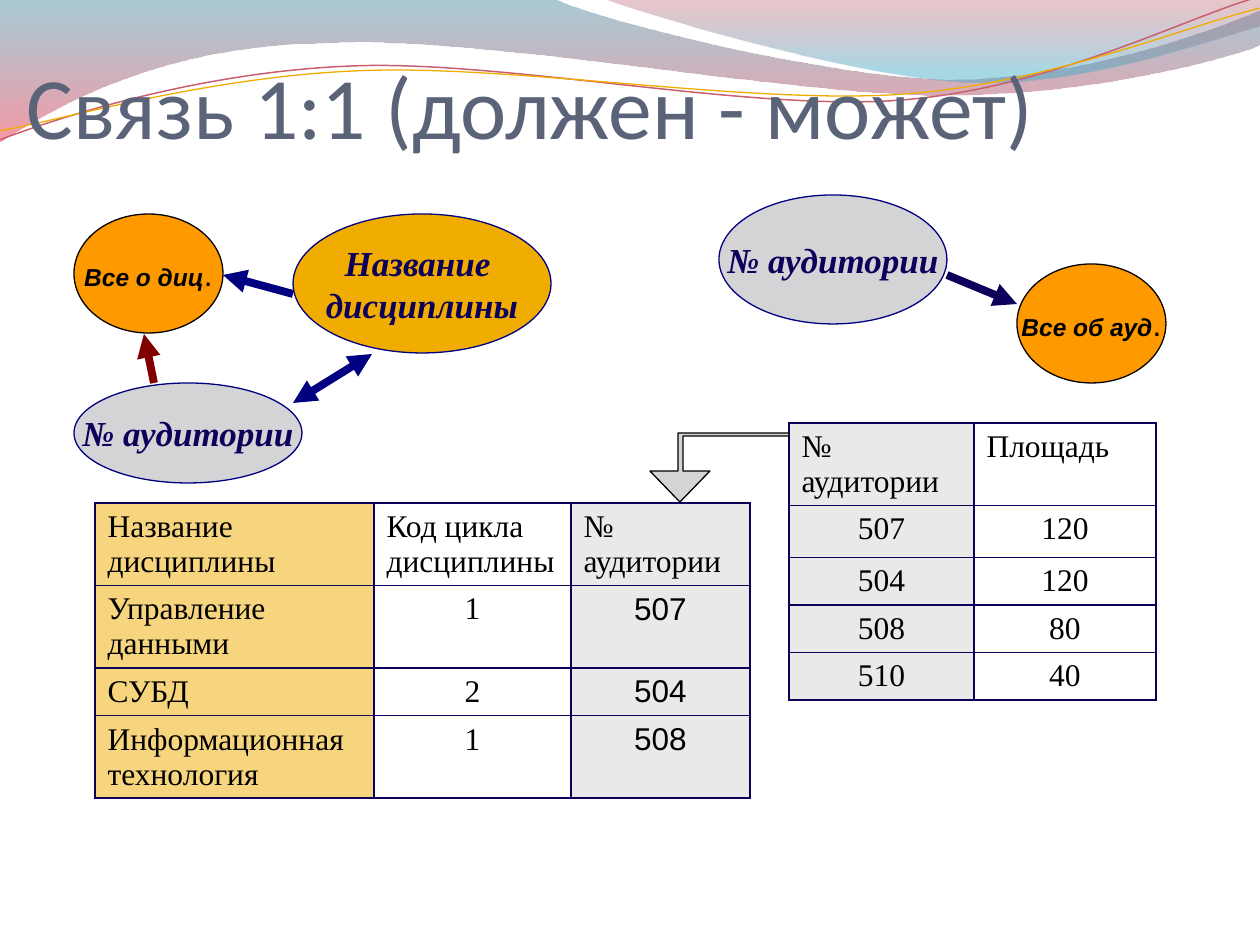
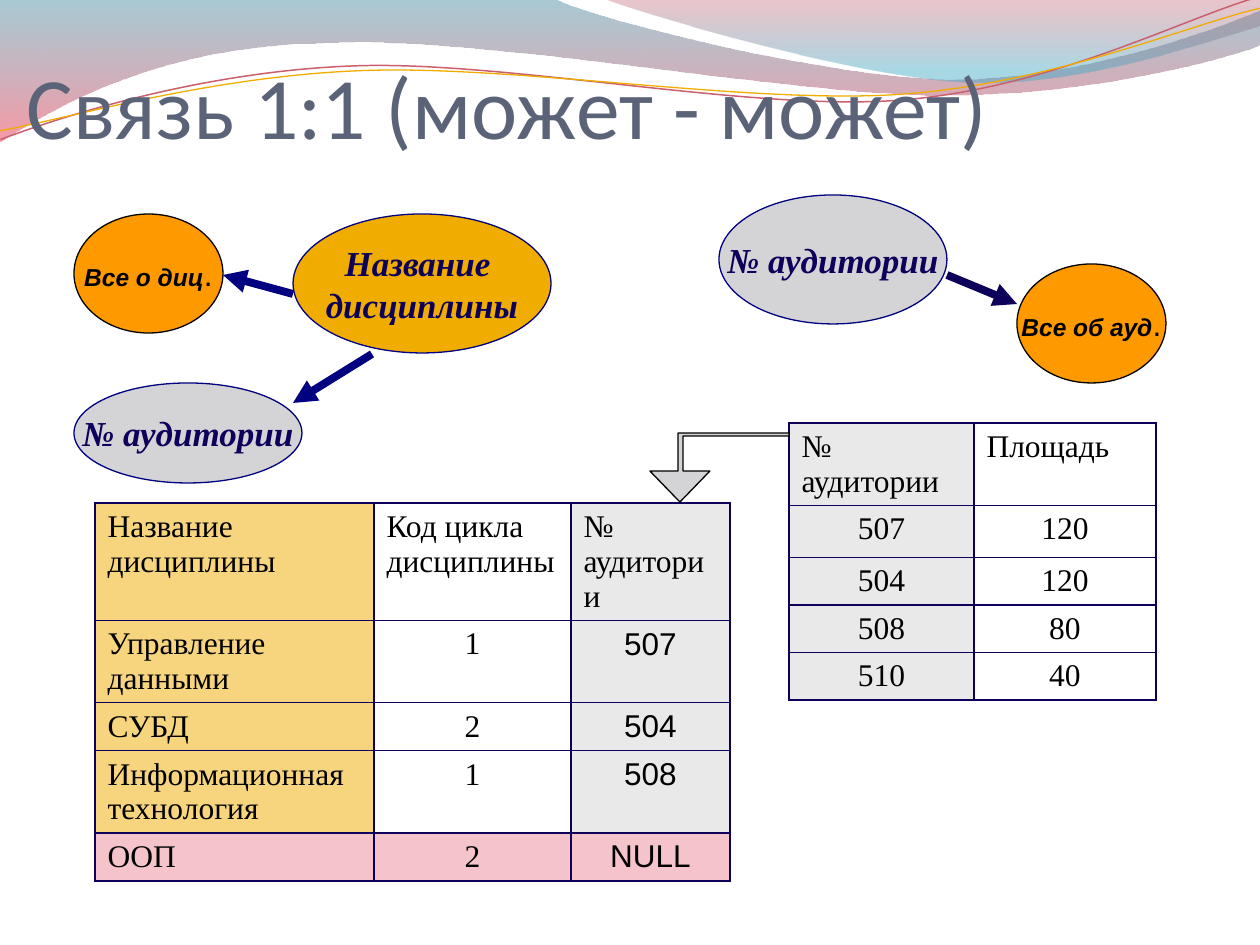
from dataclasses import dataclass

from lxml.etree import SubElement
from pptx import Presentation
from pptx.dml.color import RGBColor
from pptx.enum.shapes import MSO_CONNECTOR as Connector, MSO_SHAPE as Shape
from pptx.enum.text import MSO_ANCHOR as Anchor, MSO_AUTO_SIZE as AutoSize, PP_ALIGN as Align
from pptx.oxml.ns import qn
from pptx.util import Emu, Pt

EMU_PER_PX = 914400 / 126


@dataclass(frozen=True)
class Theme:
    title: str = "5A6378"
    ink: str = "000000"
    indigo: str = "0D005A"
    navy: str = "000080"
    maroon: str = "800000"
    amber: str = "F0AD00"
    orange: str = "FF9900"
    grey: str = "D4D4D6"
    pink: str = "F5C4CB"
    rose: str = "CB5F6E"
    sans: str = "Arial"
    serif: str = "Times New Roman"
    title_font: str = "Calibri"
    title_size: int = 50
    key_size: int = 20
    cell_size: int = 18
    note_size: int = 14
    outline: float = 0.75
    arrow: float = 4.5


THEME = Theme()

# Each outline: start point, then line steps (x, y) or curve steps (three points).
UPPER_WAVE = [
    (0, 0), (554, -1),
    ((600, 21), (837, 79), (955, 79)), ((1075, 79), (1207, 33), (1260, 11)),
    (1261, 45),
    ((1239, 55), (1096, 96), (940, 95)), ((784, 95), (481, 35), (324, 43)),
    ((163, 45), (58, 105), (-1, 142)),
]
RIGHT_WAVE = [
    (604, -1), ((641, 14), (859, 78), (969, 82)),
    ((1079, 87), (1211, 40), (1260, 26)), (1260, 0),
]
ROSE_THREAD = [
    (-2, 110), ((59, 90), (200, 52), (350, 53)),
    ((499, 53), (745, 117), (896, 113)), ((1049, 109), (1184, 45), (1260, 27)),
]
AMBER_THREAD = [
    (-2, 101), ((57, 94), (207, 57), (357, 58)),
    ((509, 58), (750, 111), (902, 107)), ((1052, 103), (1188, 52), (1262, 38)),
]
THREAD_TILT = 357.3
FOREIGN_KEY_ARROW = [
    (680, 502), (710, 471), (683, 471), (683, 436), (789, 436),
    (789, 433), (678, 433), (678, 471), (650, 471),
]

DISCIPLINES = [
    ("Название дисциплины", "Код цикла дисциплины", "№ аудитории"),
    ("Управление данными", "1", "507"),
    ("СУБД", "2", "504"),
    ("Информационная технология", "1", "508"),
]
UNASSIGNED_DISCIPLINE = ("ООП", "2", "NULL")
ROOMS = [
    ("№ аудитории", "Площадь"),
    ("507", "120"), ("504", "120"), ("508", "80"), ("510", "40"),
]


def px(length):
    return Emu(round(length * EMU_PER_PX))


def rgb(code):
    return RGBColor.from_string(code)


def set_alpha(parent, *percents):
    """Give the colours below parent their opacities, in order."""
    for color, percent in zip(parent.iter(qn("a:srgbClr")), percents):
        SubElement(color, qn("a:alpha"), val=str(percent * 1000))


def style_font(font, name, size, color, emphasis=False):
    font.name, font.size = name, Pt(size)
    font.color.rgb = rgb(color)
    font.bold = font.italic = emphasis


def style_line(line, color, width):
    line.color.rgb = rgb(color)
    line.width = Pt(width)


def add_outline(slide, steps, close=True):
    """Lay all points as line segments, then join each curve's three into one Bézier."""
    start, *moves = [step if len(step) == 3 else (step,) for step in steps]
    builder = slide.shapes.build_freeform(*map(px, start[0]), scale=1.0)
    builder.add_line_segments([(px(x), px(y)) for move in moves for x, y in move], close=close)
    outline = builder.convert_to_shape()
    outline.shadow.inherit = False
    segments = iter(list(outline.element.iter(qn("a:lnTo"))))
    for move in moves:
        first, *others = [next(segments) for _ in move]
        if others:
            first.tag = qn("a:cubicBezTo")
            for other in others:
                first.append(other[0])
                other.getparent().remove(other)
    return outline


def add_wave(slide, steps, stops):
    """Fill an outline from top to bottom with (position, colour, opacity) stops."""
    wave = add_outline(slide, steps)
    wave.line.fill.background()
    wave.fill.gradient()
    wave.fill.gradient_angle = 270
    for stop, (position, color, _) in zip(wave.fill.gradient_stops, stops):
        stop.position = position
        stop.color.rgb = rgb(color)
    set_alpha(wave.element.spPr, *(opacity for _, _, opacity in stops))
    return wave


def add_thread(slide, steps, color, width):
    thread = add_outline(slide, steps, close=False)
    thread.rotation = THREAD_TILT
    thread.fill.background()
    style_line(thread.line, color, width)
    return thread


def decorate_layout(layout, slide):
    """Draw the waves with the slide's builder and hand them to the layout."""
    decorations = [
        add_wave(slide, UPPER_WAVE, [(0, "3F8A9F", 45), (1, "EF445B", 55)]),
        add_wave(slide, RIGHT_WAVE, [(0, "B84253", 30), (0.8, "42ABC7", 45)]),
        add_thread(slide, ROSE_THREAD, THEME.rose, 0.85),
        add_thread(slide, AMBER_THREAD, THEME.amber, 0.75),
    ]
    for index, decoration in enumerate(decorations, start=2):
        layout.shapes.element.insert(index, decoration.element)


def set_title(slide, text):
    title = slide.shapes.title
    title.left, title.top, title.width, title.height = map(px, (27, 31, 1105, 126))
    frame = title.text_frame
    frame.text = text
    frame.auto_size = AutoSize.NONE
    frame.vertical_anchor = Anchor.BOTTOM
    frame.margin_left = frame.margin_right = frame.margin_bottom = 0
    frame.margin_top = px(6)
    paragraph = frame.paragraphs[0]
    paragraph.alignment = Align.LEFT
    style_font(paragraph.runs[0].font, THEME.title_font, THEME.title_size, THEME.title)


def add_ellipse(slide, box, fill, line_color):
    ellipse = slide.shapes.add_shape(Shape.OVAL, *map(px, box))
    ellipse.shadow.inherit = False
    ellipse.fill.solid()
    ellipse.fill.fore_color.rgb = rgb(fill)
    style_line(ellipse.line, line_color, THEME.outline)
    ellipse.text_frame.word_wrap = False
    ellipse.text_frame.vertical_anchor = Anchor.MIDDLE
    return ellipse.text_frame


def add_key(slide, text, box, fill):
    frame = add_ellipse(slide, box, fill, THEME.navy)
    frame.text = text
    for paragraph in frame.paragraphs:
        paragraph.alignment = Align.CENTER
        style_font(paragraph.runs[0].font, THEME.serif, THEME.key_size, THEME.indigo, True)


def add_attributes(slide, text, left, top):
    """Add the circle that stands for all other attributes of an entity."""
    frame = add_ellipse(slide, (left, top, 149, 119), THEME.orange, THEME.ink)
    frame.text = text
    paragraph = frame.paragraphs[0]
    paragraph.alignment = Align.CENTER
    style_font(paragraph.runs[0].font, THEME.sans, THEME.note_size, THEME.ink, True)
    full_stop = paragraph.add_run()
    full_stop.text = "."
    style_font(full_stop.font, THEME.sans, THEME.cell_size, THEME.ink)


def add_arrow(slide, start, end, color, both_ways=False):
    arrow = slide.shapes.add_connector(Connector.STRAIGHT, *map(px, start + end))
    style_line(arrow.line, color, THEME.arrow)
    properties = arrow.element.spPr
    line = properties.find(qn("a:ln"))
    if both_ways:
        SubElement(line, qn("a:headEnd"), type="triangle")
    SubElement(line, qn("a:tailEnd"), type="triangle")
    SubElement(properties, qn("a:effectLst"))


def add_borders(cell):
    properties = cell._tc.get_or_add_tcPr()
    for side in ("lnL", "lnR", "lnT", "lnB"):
        border = SubElement(properties, qn(f"a:{side}"), w=str(Pt(1)))
        fill = SubElement(border, qn("a:solidFill"))
        SubElement(fill, qn("a:srgbClr"), val=THEME.indigo)


def fill_cell(cell, text, fill, opacity, font, centred):
    add_borders(cell)
    if fill:
        cell.fill.solid()
        cell.fill.fore_color.rgb = rgb(fill)
        if opacity < 100:
            set_alpha(cell._tc.tcPr.find(qn("a:solidFill")), opacity)
    else:
        cell.fill.background()
    cell.text = text
    paragraph = cell.text_frame.paragraphs[0]
    paragraph.alignment = Align.CENTER if centred else Align.LEFT
    style_font(paragraph.runs[0].font, font, THEME.cell_size, THEME.ink)


def add_relation(slide, records, corner, widths, heights, frame_height, column_fills,
                 left_columns=(), sans_columns=(), highlighted=None):
    """Add a table whose columns carry half-transparent fills; rows grow with their text."""
    size = (sum(widths), frame_height)
    frame = slide.shapes.add_table(len(records), len(widths), *map(px, corner + size))
    table = frame.table
    table.first_row = table.horz_banding = False
    for column, width in zip(table.columns, widths):
        column.width = px(width)
    for row, height in zip(table.rows, heights):
        row.height = px(height)
    frame.height = px(frame_height)
    for r, record in enumerate(records):
        for c, text in enumerate(record):
            fill, opacity = (THEME.pink, 100) if record == highlighted else (column_fills[c], 50)
            font = THEME.sans if r and c in sans_columns else THEME.serif
            fill_cell(table.cell(r, c), text, fill, opacity, font, r > 0 and c not in left_columns)


def add_entities(slide):
    """Draw the parts of the diagram that both kinds of relationship have."""
    foreign_key = add_outline(slide, FOREIGN_KEY_ARROW)
    foreign_key.fill.solid()
    foreign_key.fill.fore_color.rgb = rgb(THEME.grey)
    style_line(foreign_key.line, THEME.ink, THEME.outline)
    add_key(slide, "Название \nдисциплины", (293, 214, 258, 139), THEME.amber)
    add_key(slide, "№ аудитории", (719, 195, 228, 129), THEME.grey)
    add_attributes(slide, "Все о диц", 74, 214)
    add_arrow(slide, (293, 294), (223, 275), THEME.navy)
    add_attributes(slide, "Все об ауд", 1017, 264)
    add_arrow(slide, (947, 275), (1017, 304), THEME.indigo)
    add_key(slide, "№ аудитории", (74, 383, 228, 100), THEME.grey)


def add_relationship_slide(slide, title, disciplines, room_width, heights, frame_height,
                           mandatory):
    set_title(slide, title)
    add_relation(slide, disciplines, (95, 503), (279, 197, room_width), heights, frame_height,
                 (THEME.amber, None, THEME.grey), left_columns=(0,), sans_columns=(2,),
                 highlighted=UNASSIGNED_DISCIPLINE)
    add_relation(slide, ROOMS, (789, 423), (185, 182), (79, 52, 43, 39, 43), 291,
                 (THEME.grey, None))
    add_entities(slide)
    add_arrow(slide, (372, 354), (293, 403), THEME.navy, both_ways=mandatory)
    if mandatory:
        add_arrow(slide, (154, 383), (144, 334), THEME.maroon)


def main():
    deck = Presentation()
    deck.slide_width, deck.slide_height = px(1260), px(945)
    layout = deck.slide_layouts[5]
    must_may, may_may = (deck.slides.add_slide(layout) for _ in range(2))
    decorate_layout(layout, must_may)
    add_relationship_slide(must_may, "Связь 1:1 (должен - может)", DISCIPLINES,
                           179, (79, 52, 43, 45), 315, mandatory=True)
    add_relationship_slide(may_may, "Связь 1:1 (может - может)",
                           DISCIPLINES + [UNASSIGNED_DISCIPLINE],
                           159, (79, 52, 43, 45, 45), 403, mandatory=False)
    deck.save("out.pptx")


if __name__ == "__main__":
    main()
